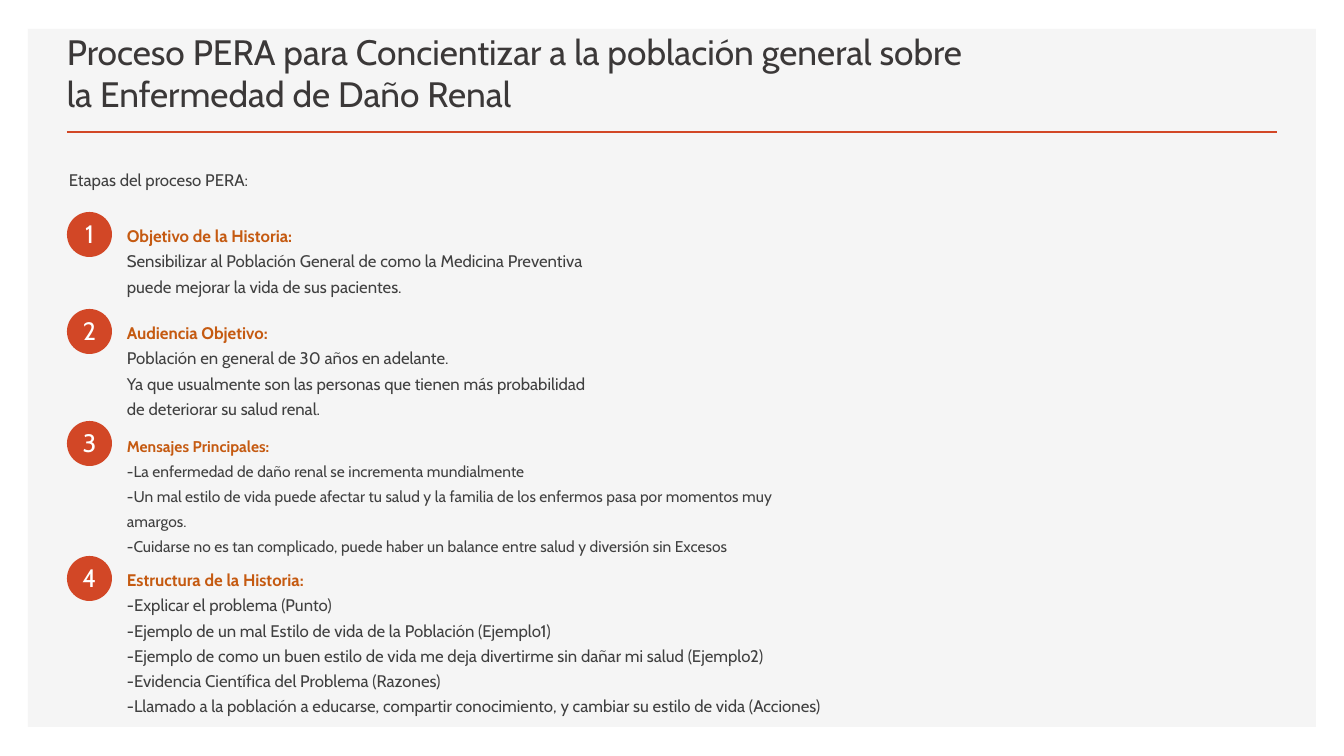
from pptx import Presentation
from pptx.dml.color import RGBColor
from pptx.enum.shapes import MSO_CONNECTOR, MSO_SHAPE
from pptx.enum.text import MSO_ANCHOR, PP_ALIGN
from pptx.oxml.ns import qn
from pptx.util import Pt
from lxml import etree

RECTANGLE, OVAL = MSO_SHAPE.RECTANGLE, MSO_SHAPE.OVAL
STRAIGHT = MSO_CONNECTOR.STRAIGHT
TOP, BOTTOM = MSO_ANCHOR.TOP, MSO_ANCHOR.BOTTOM
LEFT, CENTER = PP_ALIGN.LEFT, PP_ALIGN.CENTER

COLORS = {
    "panel": "F5F5F5",
    "accent": "D24726",
    "title": "3B3838",
    "heading": "C55A11",
    "body": "404040",
    "number": "FFFFFF",
}
FONT = "Cabin"
EMU_PER_PX = 9525 * 96 / 100.8

TITLE = [
    "Proceso PERA para Concientizar a la población general sobre ",
    "la Enfermedad de Daño Renal",
]
INTRO = "Etapas del proceso PERA:"
STAGES = [
    {"top": 212, "width": 506, "height": 66, "size": 12, "after": 6,
     "heading": "Objetivo de la Historia:",
     "lines": ["Sensibilizar al Población General de como la Medicina Preventiva "
               "puede mejorar la vida de sus pacientes."]},
    {"top": 309, "width": 497, "height": 118, "size": 12, "after": 20,
     "heading": "Audiencia Objetivo:",
     "lines": ["Población en general de 30 años en adelante.",
               "Ya que usualmente son las personas que tienen más probabilidad "
               "de deteriorar su salud renal."]},
    {"top": 421, "width": 687, "height": 147, "size": 11.1, "after": 6,
     "heading": "Mensajes Principales:",
     "lines": ["-La enfermedad de daño renal se incrementa mundialmente",
               "-Un mal estilo de vida puede afectar tu salud y la familia de los "
               "enfermos pasa por momentos muy amargos.",
               "-Cuidarse no es tan complicado, puede haber un balance entre salud "
               "y diversión sin Excesos"]},
    {"top": 556, "width": 767, "height": 173, "size": 12, "after": 20,
     "heading": "Estructura de la Historia:",
     "lines": ["-Explicar el problema (Punto)",
               "-Ejemplo de un mal Estilo de vida de la Población (Ejemplo1)",
               "-Ejemplo de como un buen estilo de vida me deja divertirme sin "
               "dañar mi salud (Ejemplo2)",
               "-Evidencia Científica del Problema (Razones)",
               "-Llamado a la población a educarse, compartir conocimiento, y "
               "cambiar su estilo de vida (Acciones)"]},
]
CIRCLE_LEFT, CIRCLE_SIZE = 67, 45
NUMBER_WIDTH, NUMBER_HEIGHT = 61, 40
STAGE_LEFT, STAGE_DROP = 117, 4


def px(length):
    return round(length * EMU_PER_PX)


def color(name):
    return RGBColor.from_string(COLORS[name])


def add_text(page, lines, left, top, width, height, *, size, fill, bold_fill=None,
             align=LEFT, anchor=TOP, spacing=None, after=0):
    box = page.shapes.add_textbox(px(left), px(top), px(width), px(height))
    frame = box.text_frame
    frame.word_wrap = True
    frame.vertical_anchor = anchor
    para = frame.paragraphs[0]
    para.alignment = align
    para.space_before = Pt(0)
    para.space_after = Pt(after)
    if spacing:
        para.line_spacing = Pt(spacing)
    for index, line in enumerate(lines):
        if index:
            para.add_line_break()
        is_heading = bold_fill is not None and index == 0
        span = para.add_run()
        span.text = line
        span.font.name = FONT
        span.font.size = Pt(size)
        span.font.bold = is_heading
        span.font.color.rgb = color(bold_fill if is_heading else fill)


def add_solid(page, kind, left, top, width, height, fill):
    shape = page.shapes.add_shape(kind, px(left), px(top), px(width), px(height))
    shape.shadow.inherit = False
    shape.fill.solid()
    shape.fill.fore_color.rgb = color(fill)
    shape.line.fill.background()


def add_rule(page, left, right, y):
    rule = page.shapes.add_connector(STRAIGHT, px(left), px(y), px(right), px(y))
    rule.line.color.rgb = color("accent")
    rule.line.width = Pt(2)
    etree.SubElement(rule._element.spPr, qn("a:effectLst"))


def add_stage(page, number, stage):
    top = stage["top"]
    add_solid(page, OVAL, CIRCLE_LEFT, top, CIRCLE_SIZE, CIRCLE_SIZE, "accent")
    add_text(page, [str(number)],
             CIRCLE_LEFT + (CIRCLE_SIZE - NUMBER_WIDTH) / 2, top + 1,
             NUMBER_WIDTH, NUMBER_HEIGHT, size=18, fill="number", align=CENTER)
    add_text(page, [stage["heading"], *stage["lines"]],
             STAGE_LEFT, top + STAGE_DROP, stage["width"], stage["height"],
             size=stage["size"], fill="body", bold_fill="heading",
             spacing=18, after=stage["after"])


def main():
    deck = Presentation()
    deck.slide_width, deck.slide_height = px(1344), px(756)
    page = deck.slides.add_slide(deck.slide_layouts[6])
    add_solid(page, RECTANGLE, 28, 29, 1288, 698, "panel")
    add_rule(page, 67, 1277, 132)
    add_text(page, TITLE, 57, 49, 1217, 71, size=25.2, fill="title", anchor=BOTTOM)
    add_text(page, [INTRO], 59, 160, 563, 52, size=12, fill="body",
             spacing=18, after=20)
    for number, stage in enumerate(STAGES, 1):
        add_stage(page, number, stage)
    deck.save("out.pptx")


if __name__ == "__main__":
    main()
